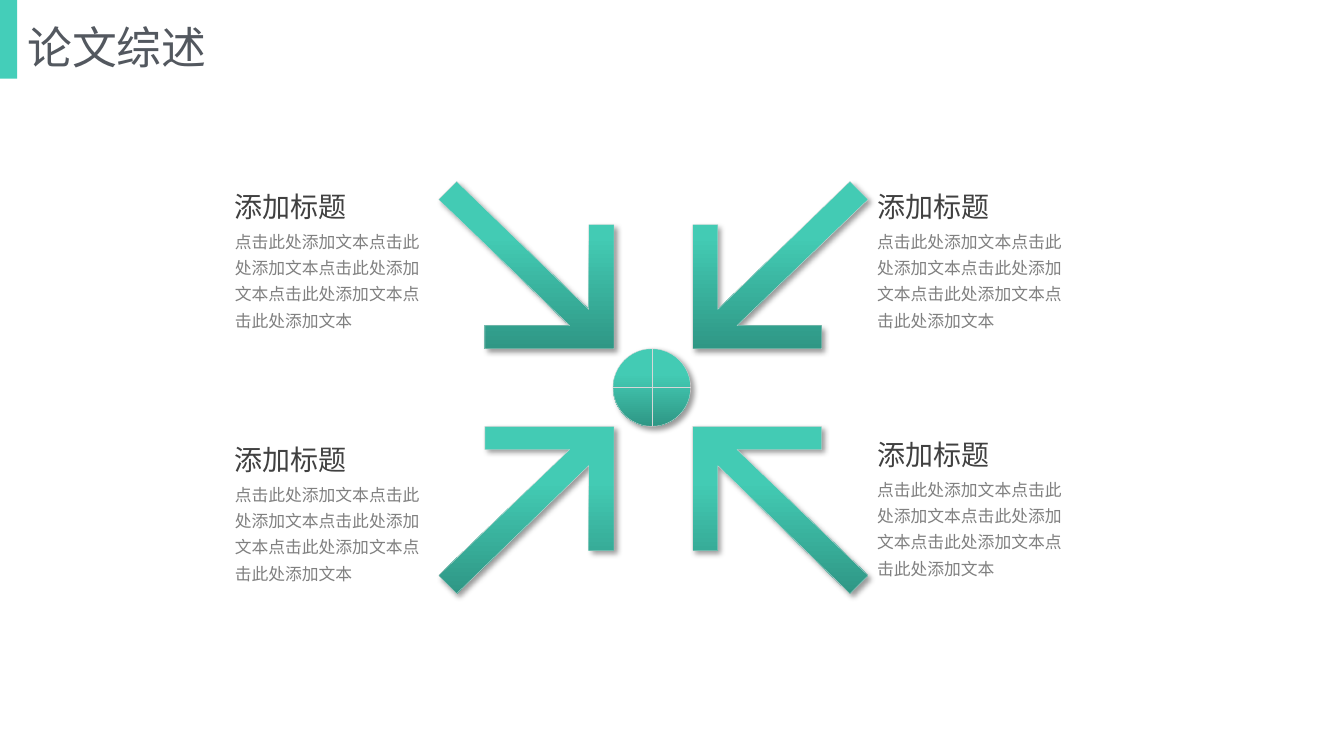
from dataclasses import dataclass

from lxml import etree
from pptx import Presentation
from pptx.dml.color import RGBColor
from pptx.enum.shapes import MSO_SHAPE
from pptx.enum.text import MSO_ANCHOR, PP_ALIGN
from pptx.oxml.ns import qn
from pptx.util import Inches, Pt

RECT, HUB = MSO_SHAPE.RECTANGLE, MSO_SHAPE.FLOWCHART_OR
LEFT, TOP, MIDDLE = PP_ALIGN.LEFT, MSO_ANCHOR.TOP, MSO_ANCHOR.MIDDLE

# Content
TITLE = "论文综述"
HEAD = "添加标题"
BODY = "点击此处添加文本" * 5
# Left and top of each heading
NOTES = [(HEAD, BODY, 2.23, 1.83), (HEAD, BODY, 8.6, 1.83),
         (HEAD, BODY, 2.23, 4.34), (HEAD, BODY, 8.6, 4.29)]
# Tip of each arrow, and the directions in which it spreads
TIPS = [(x, y, dx, dy) for x, dx in ((6.09, -1), (6.87, 1))
        for y, dy in ((3.46, -1), (4.23, 1))]
# Arrow outline, as distances from its tip
ARROW = [(0, 0), (0, 1.23), (0.25, 1.23), (0.25, 0.39), (1.56, 1.66),
         (1.74, 1.48), (0.44, 0.23), (1.28, 0.23), (1.28, 0)]


@dataclass
class Theme:
    font: str = "Noto Sans CJK SC"
    bar: str = "44CEB9"
    light: str = "43CBB4"
    dark: str = "2F9785"
    edge: str = "D7D7D7"
    shade: str = "000000"
    title: str = "53585F"
    head: str = "404040"
    body: str = "808080"
    big: int = 32
    mid: int = 20
    small: int = 12


THEME = Theme()


def write(shape, text, size, color, space=1.0, anchor=TOP):
    frame = shape.text_frame
    frame.word_wrap = True
    frame.vertical_anchor = anchor
    para = frame.paragraphs[0]
    para.alignment, para.line_spacing = LEFT, space
    run = para.add_run()
    run.text = text
    run.font.size = Pt(size)
    run.font.name = THEME.font
    run.font.color.rgb = RGBColor.from_string(color)
    face = etree.SubElement(run.font._element, qn("a:ea"))
    face.set("typeface", THEME.font)


def place(shape, *box):
    shape.left, shape.top, shape.width, shape.height = map(Inches, box)


def polish(shape):
    """Vertical gradient, thin edge and soft shadow."""
    shape.fill.gradient()
    shape.fill.gradient_angle = 270
    stops = zip(shape.fill.gradient_stops, (0.33, 1), (THEME.light, THEME.dark))
    for stop, pos, color in stops:
        stop.position = pos
        stop.color.rgb = RGBColor.from_string(color)
    shape.line.color.rgb = RGBColor.from_string(THEME.edge)
    shape.line.width = Pt(0.25)
    shape.shadow.inherit = False
    effects = shape._element.spPr.find(qn("a:effectLst"))
    shadow = etree.SubElement(effects, qn("a:outerShdw"), blurRad=str(Pt(4)),
                              dist=str(Pt(3)), dir="2700000", algn="tl",
                              rotWithShape="0")
    tone = etree.SubElement(shadow, qn("a:srgbClr"), val=THEME.shade)
    etree.SubElement(tone, qn("a:alpha"), val="40000")


def main():
    deck = Presentation()
    deck.slide_width, deck.slide_height = Inches(13.33), Inches(7.5)
    slide = deck.slides.add_slide(deck.slide_layouts[5])
    shapes = slide.shapes

    # Title and accent bar
    place(shapes.title, 0.17, 0.14, 3.91, 0.64)
    write(shapes.title, TITLE, THEME.big, THEME.title, anchor=MIDDLE)
    bar = shapes.add_shape(RECT, 0, 0, Inches(0.17), Inches(0.78))
    bar.fill.solid()
    bar.fill.fore_color.rgb = RGBColor.from_string(THEME.bar)
    bar.line.fill.background()
    bar.shadow.inherit = False

    # Arrows pointing at the hub
    for x, y, dx, dy in TIPS:
        pts = [(Inches(x + dx * a), Inches(y + dy * b)) for a, b in ARROW]
        path = shapes.build_freeform(*pts[0])
        path.add_line_segments(pts[1:], close=True)
        polish(path.convert_to_shape())

    # Hub
    hub = shapes.add_shape(HUB, *map(Inches, (6.08, 3.46, 0.77, 0.77)))
    polish(hub)

    # Notes
    for head, body, x, y in NOTES:
        box = shapes.add_textbox(*map(Inches, (x, y, 2.11, 0.44)))
        write(box, head, THEME.mid, THEME.head)
        box = shapes.add_textbox(*map(Inches, (x, y + 0.36, 2.11, 1.15)))
        write(box, body, THEME.small, THEME.body, space=1.3)

    deck.save("out.pptx")


if __name__ == "__main__":
    main()
